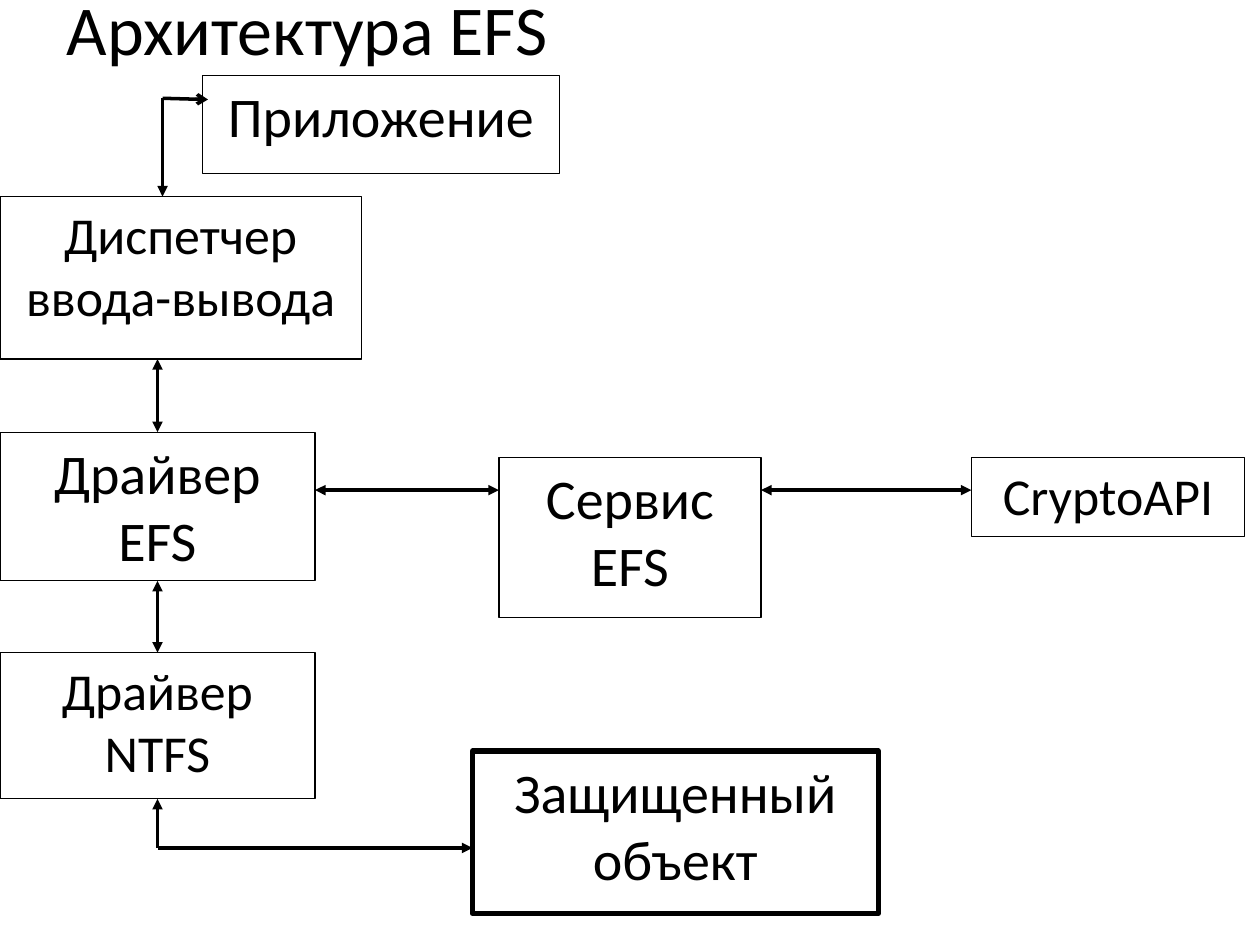
from collections import namedtuple

from lxml import etree
from pptx import Presentation
from pptx import util as u
from pptx.dml.color import RGBColor
from pptx.enum import shapes, text
from pptx.oxml.ns import qn

# The slide is a grid of 10 columns by 7.5 rows, one inch per cell
COLS, ROWS, CELL = 10, 7.5, u.Inches(1)
FONT, BLACK, WHITE = "Calibri", "000000", "FFFFFF"
LARGE, SMALL = 32, 29.6

Box = namedtuple("Box", "x y w h")


def color(value):
    return RGBColor.from_string(value)


def cells(*values):
    return [int(v * CELL) for v in values]


def inside(box, x, y, w, h):
    return Box(box.x + x, box.y + y, w, h)


def add_run(p, words, size):
    r = p.add_run()
    r.text = words
    r.font.name, r.font.size = FONT, u.Pt(size)
    r.font.color.rgb = color(BLACK)


def add_block(s, box, words, size, weight=0.75):
    sp = s.shapes.add_shape(shapes.MSO_SHAPE.RECTANGLE, *cells(*box))
    sp.shadow.inherit = False
    sp.fill.solid()
    sp.fill.fore_color.rgb = color(WHITE)
    sp.line.color.rgb = color(BLACK)
    sp.line.width = u.Pt(weight)
    tf = sp.text_frame
    tf.word_wrap = True
    tf.vertical_anchor = text.MSO_ANCHOR.TOP
    p = tf.paragraphs[0]
    p.alignment = text.PP_ALIGN.CENTER
    add_run(p, words, size)
    return sp


def add_arrow(s, start, end, head=None, tail="triangle"):
    c = s.shapes.add_connector(shapes.MSO_CONNECTOR.STRAIGHT, *cells(*start, *end))
    c.line.color.rgb = color(BLACK)
    c.line.width = u.Pt(2)
    ln = c.line._get_or_add_ln()
    for tag, kind in (("a:headEnd", head), ("a:tailEnd", tail)):
        if kind:
            etree.SubElement(ln, qn(tag), type=kind)
    etree.SubElement(c._element.spPr, qn("a:effectLst"))
    return c


def add_title(s, box):
    sp = s.shapes.title
    sp.left, sp.top, sp.width, sp.height = cells(*box)
    tf = sp.text_frame
    tf.auto_size = text.MSO_AUTO_SIZE.NONE
    tf.vertical_anchor = text.MSO_ANCHOR.MIDDLE
    p = tf.paragraphs[0]
    p.alignment = text.PP_ALIGN.LEFT
    add_run(p, "Архитектура EFS", 40)


def add_driver_stack(s, box):
    """Application, dispatcher and the two drivers, top to bottom."""
    app = inside(box, 1.61, 0, 2.83, 0.78)
    dispatcher = inside(box, 0, 0.96, 2.87, 1.29)
    efs = inside(box, 0, 2.83, 2.5, 1.18)
    ntfs = inside(box, 0, 4.58, 2.5, 1.16)
    add_block(s, app, "Приложение", LARGE)
    add_block(s, dispatcher, "Диспетчер ввода-вывода", SMALL)
    efs_sp = add_block(s, efs, "Драйвер EFS", LARGE)
    ntfs_sp = add_block(s, ntfs, "Драйвер NTFS", SMALL)

    # Elbow between dispatcher and application
    corner = (box.x + 1.29, box.y + 0.18)
    add_arrow(s, corner, (corner[0], dispatcher.y))
    add_arrow(s, corner, (app.x + 0.04, corner[1] + 0.01), tail="arrow")

    # Two-way links down the axis of the drivers
    axis = efs.x + efs.w / 2
    c = add_arrow(s, (axis, dispatcher.y + dispatcher.h), (axis, efs.y), "triangle")
    c.end_connect(efs_sp, 0)
    c = add_arrow(s, (axis, efs.y + efs.h), (axis, ntfs.y), "triangle")
    c.begin_connect(efs_sp, 2)
    c.end_connect(ntfs_sp, 0)
    return efs, ntfs, ntfs_sp


def add_services(s, box, driver):
    """EFS service and CryptoAPI, linked in a row to the driver."""
    service = inside(box, 0, 0, 2.08, 1.27)
    crypto = inside(box, 3.75, 0, 2.17, 0.63)
    add_block(s, service, "Сервис EFS", LARGE)
    add_block(s, crypto, "CryptoAPI", SMALL)
    y = box.y + 0.26
    for left, right in ((driver, service), (service, crypto)):
        add_arrow(s, (left.x + left.w, y), (right.x, y), "triangle")


def add_protected_object(s, box, driver, driver_sp):
    add_block(s, box, "Защищенный объект", LARGE, weight=3)
    corner = (driver.x + driver.w / 2, box.y + 0.77)
    add_arrow(s, corner, (box.x, corner[1]))
    c = add_arrow(s, corner, (corner[0], driver.y + driver.h))
    c.end_connect(driver_sp, 2)


def main():
    prs = Presentation()
    prs.slide_width, prs.slide_height = cells(COLS, ROWS)
    s = prs.slides.add_slide(prs.slide_layouts[5])
    add_title(s, Box(0.43, 0, 9, 0.44))
    efs, ntfs, ntfs_sp = add_driver_stack(s, Box(0, 0.6, 4.44, 5.74))
    add_services(s, Box(3.96, 3.63, 5.92, 1.27), efs)
    add_protected_object(s, Box(3.75, 5.96, 3.22, 1.29), ntfs, ntfs_sp)
    prs.save("out.pptx")


if __name__ == "__main__":
    main()
